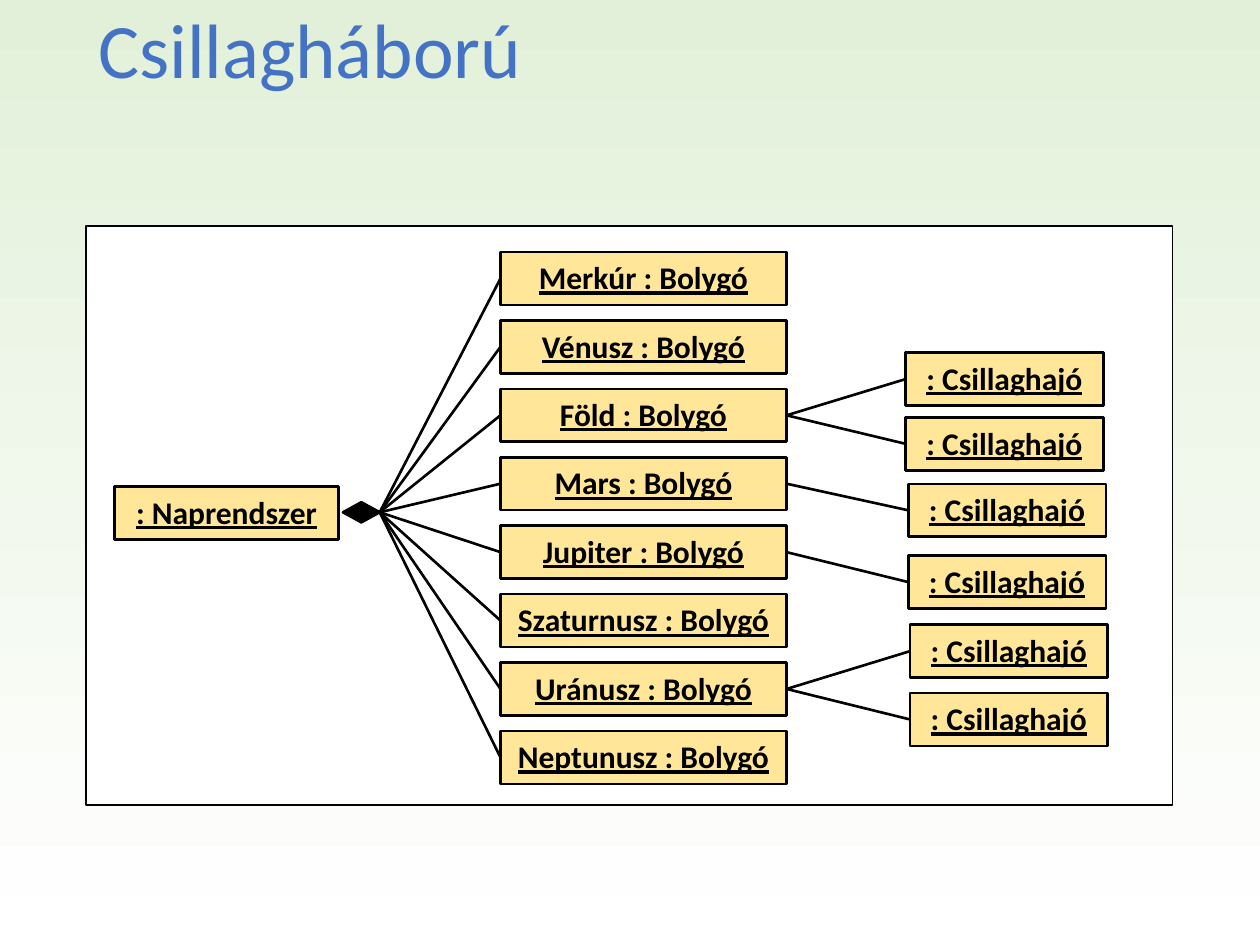
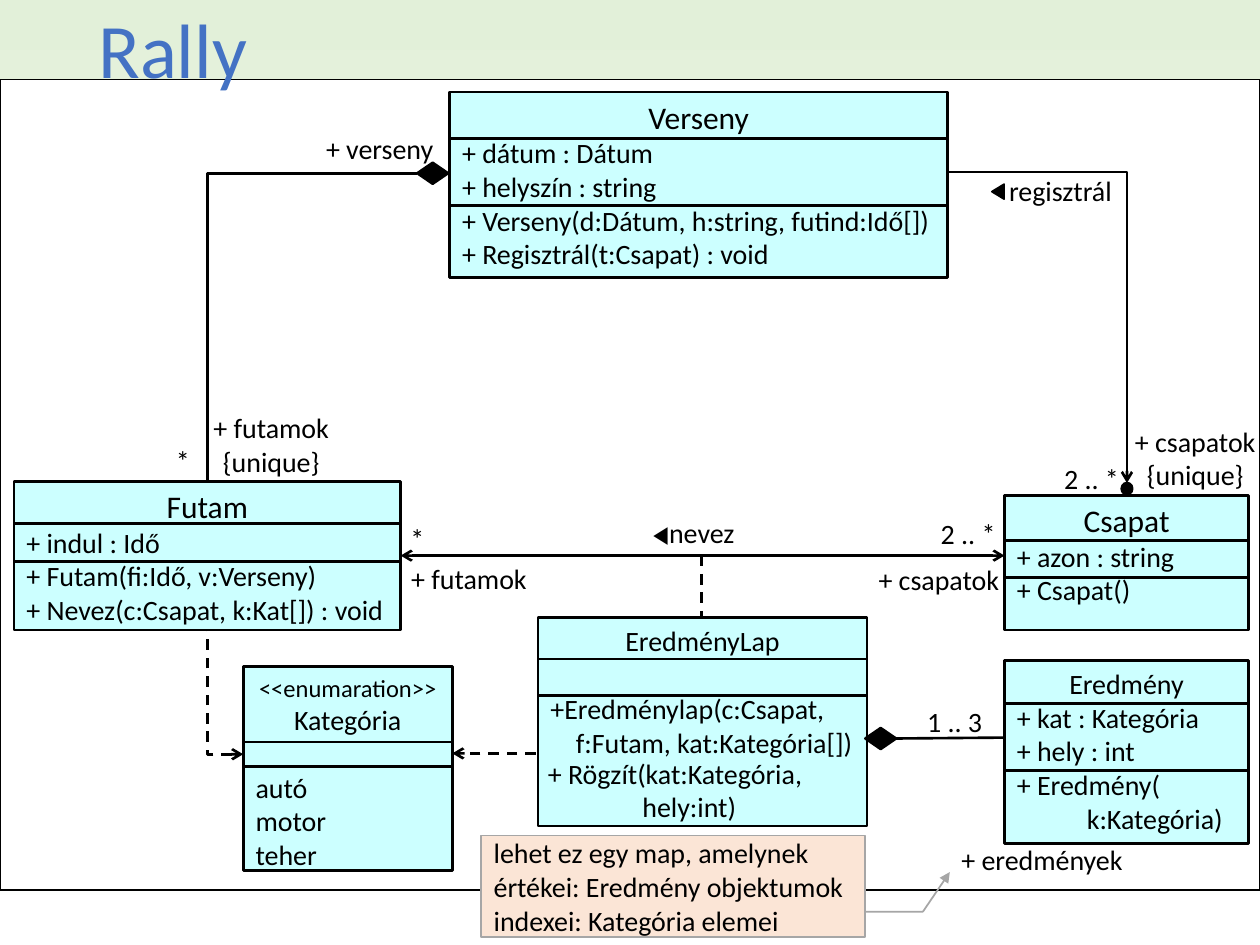
from pptx import Presentation
from pptx.dml.color import RGBColor
from pptx.enum import dml, shapes, text
from pptx.oxml import parse_xml
from pptx.oxml.ns import nsdecls, qn
from pptx.util import Pt

BLACK = RGBColor(0x00, 0x00, 0x00)
WHITE = RGBColor(0xFF, 0xFF, 0xFF)
PALE_GREEN = RGBColor(0xE2, 0xF0, 0xD9)
TITLE_BLUE = RGBColor(0x44, 0x72, 0xC4)
OBJECT_YELLOW = RGBColor(0xFF, 0xE6, 0x99)
CLASS_CYAN = RGBColor(0xCC, 0xFF, 0xFF)
NOTE_PEACH = RGBColor(0xFB, 0xE5, 0xD6)
NOTE_GREY = RGBColor(0xA6, 0xA6, 0xA6)

FONT = "Calibri"
SYMBOL_FONT = "Times New Roman"
TITLE_BOX = (49, 3, 621, 104)
TOP, LEFT, BOTTOM, RIGHT = range(4)  # connection sites
KIND = shapes.MSO_SHAPE
CENTER = text.PP_ALIGN.CENTER
START = text.PP_ALIGN.LEFT

# Object diagram: each planet with the corners of its starships
PLANETS = [
    ("Merkúr", []),
    ("Vénusz", []),
    ("Föld", [(517.5, 201.5), (517.5, 238.5)]),
    ("Mars", [(519, 276.5)]),
    ("Jupiter", [(519, 317.5)]),
    ("Szaturnusz", []),
    ("Uránusz", [(520, 357), (520, 396)]),
    ("Neptunusz", []),
]
OBJECT_HEIGHT = 30.25
PLANET_LEFT, PLANET_TOP, PLANET_WIDTH, PLANET_STEP = 286, 144, 163.5, 39.1
SHIP_WIDTH = 113

# Class diagram: box, middle compartment (top, height),
# lines as (text, size, alignment, indent, space before)
CLASSES = {
    "Futam": ((8, 275, 221, 85), (299, 22), [
        ("Futam", 18, CENTER, 0, 0),
        ("+ indul : Idő", 16, START, 0, 0),
        ("+ Futam(fi:Idő, v:Verseny)", 16, START, 0, 0),
        ("+ Nevez(c:Csapat, k:Kat[]) : void", 16, START, 0, 0)]),
    "Csapat": ((574, 283, 139.5, 77), (309, 21), [
        ("Csapat", 18, CENTER, 0, 0),
        ("+ azon : string", 16, START, 0, 0),
        ("+ Csapat()", 16, START, 0, 0)]),
    "Verseny": ((257, 52.5, 284.5, 106), (79, 38.5), [
        ("Verseny", 18, CENTER, 0, 0),
        ("+ dátum : Dátum", 16, START, 0, 0),
        ("+ helyszín : string", 16, START, 0, 0),
        ("+ Verseny(d:Dátum, h:string, futind:Idő[])", 16, START, 0, 0),
        ("+ Regisztrál(t:Csapat) : void", 16, START, 0, 0)]),
    "Kategória": ((139, 381, 119.5, 116.5), (424, 14), [
        ("<<enumaration>>", 14, CENTER, 0, 0),
        ("Kategória", 16, CENTER, 0, 0),
        ("autó", 16, START, 0, 19.5),
        ("motor", 16, START, 0, 0),
        ("teher", 16, START, 0, 0)]),
    "EredményLap": ((307.5, 353, 188, 119), (376.5, 21), [
        ("EredményLap", 16, CENTER, 0, 0),
        ("+Eredménylap(c:Csapat,", 16, START, 0, 19.5),
        ("f:Futam, kat:Kategória[])", 16, START, 14.5, 0)]),
    "Eredmény": ((574, 377.5, 139.5, 104.5), (402, 38.5), [
        ("Eredmény", 16, CENTER, 0, 0),
        ("+ kat : Kategória", 16, START, 0, 0),
        ("+ hely : int", 16, START, 0, 0),
        ("+ Eredmény(", 16, START, 0, 0),
        ("k:Kategória)", 16, START, 40, 0)]),
}

# Labels: box, alignment, lines as (text, indent)
LABELS = [
    ((641, 239, 84, 46), CENTER, [("+ csapatok", 0), ("{unique}", 0)]),
    ((601, 260, 47, 26.5), START, [("2 .. *", 0)]),
    ((114.5, 231, 81, 46), CENTER, [("+ futamok", 0), ("{unique}", 0)]),
    ((81, 250, 47, 26.5), CENTER, [("*", 0)]),
    ((178.5, 71.5, 77, 26.5), CENTER, [("+ verseny", 0)]),
    ((569.5, 95.5, 82, 26.5), START, [("regisztrál", 0)]),
    ((366, 291, 70.5, 26.5), START, [("◀nevez", 0)]),
    ((527, 291.5, 52.5, 26.5), CENTER, [("2 .. *", 0)]),
    ((224.5, 294.5, 28, 26.5), CENTER, [("*", 0)]),
    ((494.5, 318, 84, 26.5), CENTER, [("+ csapatok", 0)]),
    ((227.5, 317.5, 81, 26.5), CENTER, [("+ futamok", 0)]),
    ((306, 428.5, 173, 46), START, [("+ Rögzít(kat:Kategória,", 0), ("hely:int)", 54)]),
    ((517, 399, 57, 26.5), CENTER, [("1 .. 3", 0)]),
    ((541.5, 478, 108, 26.5), CENTER, [("+ eredmények", 0)]),
]

# Straight lines: start, end, dashed, arrow ends
LINES = [
    ((229, 317.5), (574, 317.5), False, ("headEnd", "tailEnd")),
    ((401, 317.5), (401, 353), True, ()),
    ((306, 430.5), (258.5, 430.5), True, ("tailEnd",)),
    ((512, 422), (574, 421.5), False, ()),
]
NOTE = ("lehet ez egy map, amelynek értékei: Eredmény objektumok "
        "indexei: Kategória elemei")
NOTE_POINTER = (0.75, 1.0, 0.75, 1.15, 0.36, 1.22)


def add_box(slide, kind, box, fill=None, width=1.5, line=BLACK):
    shape = slide.shapes.add_shape(kind, *map(Pt, box))
    shape.shadow.inherit = False
    if fill is None:
        shape.fill.background()
    else:
        shape.fill.solid()
        shape.fill.fore_color.rgb = fill
    shape.line.color.rgb = line
    shape.line.width = Pt(width)
    shape.text_frame.vertical_anchor = text.MSO_ANCHOR.TOP
    return shape


def style_run(run, size, color=BLACK, font=FONT):
    run.font.size = Pt(size)
    run.font.name = font
    run.font.color.rgb = color


def write_lines(frame, lines):
    for index, (words, size, alignment, indent, before) in enumerate(lines):
        paragraph = frame.add_paragraph() if index else frame.paragraphs[0]
        paragraph.alignment = alignment
        paragraph.space_before = Pt(before)
        if indent:
            paragraph._p.get_or_add_pPr().set("marL", str(Pt(indent)))
        if words.startswith("◀"):
            arrow = paragraph.add_run()
            arrow.text, words = words[0], words[1:]
            style_run(arrow, 14, font=SYMBOL_FONT)
        run = paragraph.add_run()
        run.text = words
        style_run(run, size)


def add_arrowhead(shape, end, kind="arrow"):
    shape.line._get_or_add_ln().append(
        parse_xml(f'<a:{end} {nsdecls("a")} type="{kind}"/>'))


def add_line(slide, start=(0, 0), end=(0, 0), dashed=False, arrows=(),
             kind=shapes.MSO_CONNECTOR.STRAIGHT):
    line = slide.shapes.add_connector(kind, *map(Pt, start + end))
    line.line.color.rgb = BLACK
    line.line.width = Pt(1.5)
    if dashed:
        line.line.dash_style = dml.MSO_LINE.DASH
    for arrow in arrows:
        add_arrowhead(line, arrow)
    line._element.spPr.append(parse_xml(f'<a:effectLst {nsdecls("a")}/>'))
    return line


def join(slide, first, first_site, second, second_site, **style):
    line = add_line(slide, **style)
    line.begin_connect(first, first_site)
    line.end_connect(second, second_site)
    return line


def join_bent(slide, *ends, **style):
    """One corner: leaves the first shape sideways, meets the second upright."""
    line = join(slide, *ends, kind=shapes.MSO_CONNECTOR.ELBOW, **style)
    line._element.spPr.find(qn("a:prstGeom")).set("prst", "bentConnector2")


def add_object(slide, words, left, top, width):
    shape = add_box(slide, KIND.RECTANGLE, (left, top, width, OBJECT_HEIGHT), OBJECT_YELLOW)
    write_lines(shape.text_frame, [(words, 18, CENTER, 0, 0)])
    font = shape.text_frame.paragraphs[0].runs[0].font
    font.bold = font.underline = True
    return shape


def add_slide(presentation, heading, frame_box):
    slide = presentation.slides.add_slide(presentation.slide_layouts[5])
    title = slide.shapes.title
    title.left, title.top, title.width, title.height = map(Pt, TITLE_BOX)
    title.text_frame.text = heading
    title.text_frame.vertical_anchor = text.MSO_ANCHOR.TOP
    paragraph = title.text_frame.paragraphs[0]
    paragraph.alignment = START
    paragraph.line_spacing = 0.9
    style_run(paragraph.runs[0], 44, TITLE_BLUE)
    # The white panel lies behind the title
    panel = add_box(slide, KIND.RECTANGLE, frame_box, WHITE, 1)
    title._element.addprevious(panel._element)
    return slide


def build_object_diagram(presentation):
    slide = add_slide(presentation, "Csillagháború", (49, 129, 621, 331))
    add_object(slide, ": Naprendszer", 65.5, 278, 128)
    diamond = add_box(slide, KIND.DIAMOND, (196, 287, 21, 11.5), BLACK)
    for index, (name, ships) in enumerate(PLANETS):
        planet = add_object(slide, f"{name} : Bolygó", PLANET_LEFT,
                            PLANET_TOP + index * PLANET_STEP, PLANET_WIDTH)
        join(slide, planet, LEFT, diamond, RIGHT)
        for left, top in ships:
            ship = add_object(slide, ": Csillaghajó", left, top, SHIP_WIDTH)
            join(slide, ship, LEFT, planet, RIGHT)


def build_class_diagram(presentation):
    slide = add_slide(presentation, "Rally", (0, 45.5, 720, 463))

    # Classes with their compartments
    boxes, compartments = {}, {}
    for name, (box, (top, height), lines) in CLASSES.items():
        boxes[name] = add_box(slide, KIND.RECTANGLE, box, CLASS_CYAN)
        write_lines(boxes[name].text_frame, lines)
        compartments[name] = add_box(slide, KIND.RECTANGLE, (box[0], top, box[2], height))

    # Association ends
    race_diamond = add_box(slide, KIND.DIAMOND, (238.5, 93, 17.5, 12), BLACK)
    add_box(slide, KIND.DIAMOND, (494.5, 416, 17.5, 12), BLACK)
    team_dot = add_box(slide, KIND.OVAL, (641, 276, 6, 6.5), BLACK)
    reading_arrow = add_box(slide, KIND.ISOSCELES_TRIANGLE, (566, 106, 8.5, 7), BLACK, 1)
    reading_arrow.rotation = 270

    # Associations
    join_bent(slide, compartments["Verseny"], RIGHT, team_dot, TOP, arrows=("tailEnd",))
    join_bent(slide, race_diamond, LEFT, boxes["Futam"], TOP)
    join_bent(slide, compartments["Kategória"], LEFT, boxes["Futam"], BOTTOM,
              dashed=True, arrows=("headEnd",))
    for line in LINES:
        add_line(slide, *line)

    # Labels
    for box, alignment, lines in LABELS:
        frame = slide.shapes.add_textbox(*map(Pt, box)).text_frame
        frame.word_wrap = alignment == START
        frame.auto_size = text.MSO_AUTO_SIZE.SHAPE_TO_FIT_TEXT
        write_lines(frame, [(words, 16, alignment, indent, 0) for words, indent in lines])

    # Note with its pointer
    note = add_box(slide, KIND.LINE_CALLOUT_2, (275, 477.5, 219.5, 58), NOTE_PEACH, 1, NOTE_GREY)
    for index, value in enumerate(NOTE_POINTER):
        note.adjustments[index] = value
    add_arrowhead(note, "tailEnd", "triangle")
    note.text_frame.vertical_anchor = text.MSO_ANCHOR.MIDDLE
    write_lines(note.text_frame, [(NOTE, 16, START, 0, 0)])


def main():
    presentation = Presentation()
    presentation.slide_width, presentation.slide_height = Pt(720), Pt(540)

    # Shared background, white at the bottom
    background = presentation.slide_master.background.fill
    background.gradient()
    background.gradient_angle = 90
    for stop, color in zip(background.gradient_stops, (WHITE, PALE_GREEN)):
        stop.color.rgb = color

    build_object_diagram(presentation)
    build_class_diagram(presentation)
    presentation.save("out.pptx")


if __name__ == "__main__":
    main()
